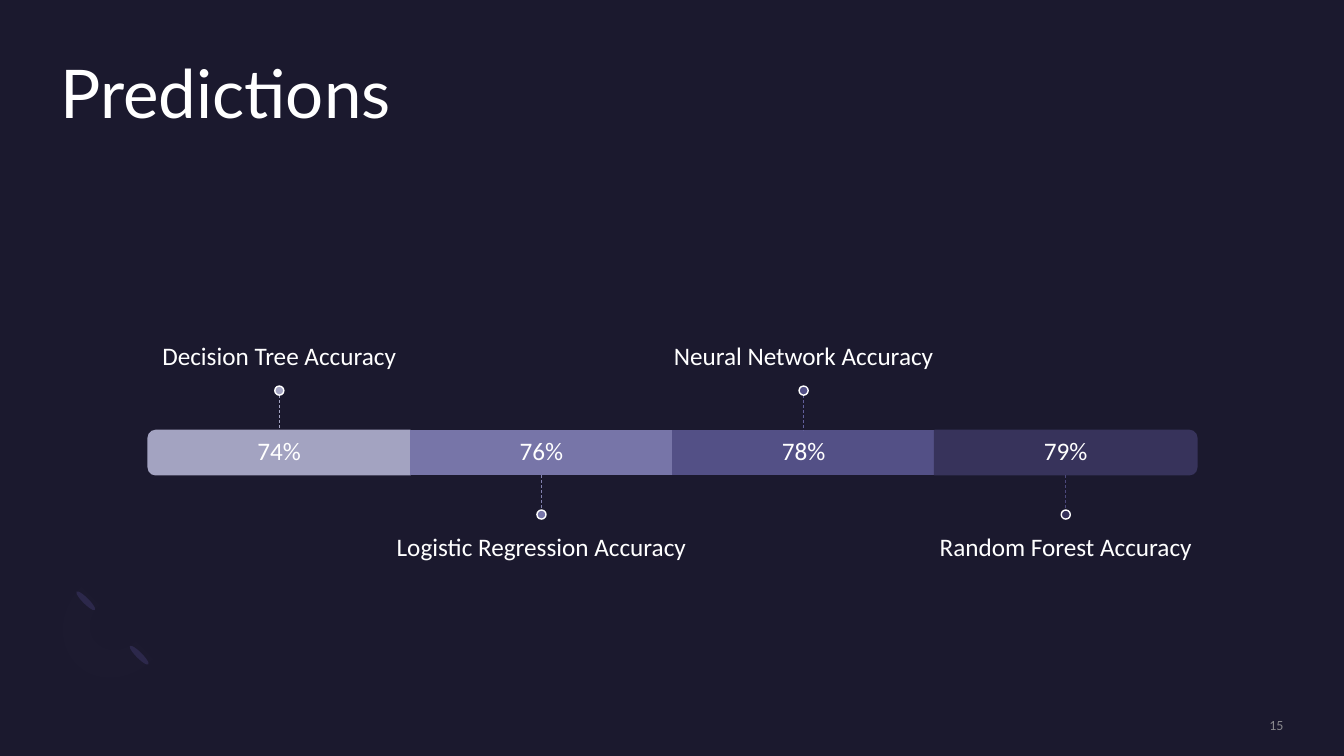
from lxml import etree
from pptx import Presentation
from pptx.dml.color import RGBColor
from pptx.enum import dml, shapes, text
from pptx.oxml.ns import qn
from pptx.util import Inches, Pt

NIGHT = RGBColor(0x1B, 0x19, 0x2E)
WHITE = RGBColor(0xFF, 0xFF, 0xFF)
GREY = RGBColor(0xA6, 0xA6, 0xA6)
PETAL = RGBColor(0x2C, 0x28, 0x4A)
VIOLET = RGBColor(0x77, 0x71, 0xB2)

# Model, accuracy, segment colour, leader colour
MODELS = [
    ("Decision Tree Accuracy", "74%",
     RGBColor(0xA3, 0xA3, 0xC1), RGBColor(0xA3, 0xA3, 0xC1)),
    ("Logistic Regression Accuracy", "76%",
     RGBColor(0x77, 0x75, 0xA8), RGBColor(0x82, 0x81, 0xAE)),
    ("Neural Network Accuracy", "78%",
     RGBColor(0x53, 0x50, 0x86), RGBColor(0x62, 0x5F, 0x9A)),
    ("Random Forest Accuracy", "79%",
     RGBColor(0x37, 0x33, 0x5B), RGBColor(0x4C, 0x48, 0x7B)),
]
LEFT, TOP, WIDE, HIGH = 1.47, 4.27, 2.6, 0.44
STEM, DOT = 0.35, 0.09
LABEL_W, LABEL_H, GAP = 4.33, 1.52, 0.15

TOPS, MIDDLE, BOTTOM = (text.MSO_ANCHOR.TOP, text.MSO_ANCHOR.MIDDLE,
                        text.MSO_ANCHOR.BOTTOM)
CENTER, RIGHT = text.PP_ALIGN.CENTER, text.PP_ALIGN.RIGHT
KIND = shapes.MSO_SHAPE


def fade(fill, percent):
    """Set the opacity of a solid fill."""
    color = fill._xPr.find(qn("a:solidFill"))[0]
    etree.SubElement(color, qn("a:alpha"), val=str(percent * 1000))


def add_text(slide, box, words, size=18, font="Calibri", color=WHITE,
             align=CENTER, anchor=MIDDLE, pad=(0, 0)):
    frame = slide.shapes.add_textbox(*map(Inches, box)).text_frame
    frame.word_wrap = True
    frame.vertical_anchor = anchor
    frame.margin_left = frame.margin_right = 0
    frame.margin_top, frame.margin_bottom = map(Inches, pad)
    para = frame.paragraphs[0]
    para.text = words
    para.alignment = align
    para.line_spacing = 0.9
    face = para.runs[0].font
    face.name, face.size = font, Pt(size)
    face.color.rgb = color
    return face


def add_block(slide, kind, box, fill, line=None, turn=0):
    block = slide.shapes.add_shape(kind, *map(Inches, box))
    block.shadow.inherit = False
    block.rotation = turn
    block.fill.solid()
    block.fill.fore_color.rgb = fill
    if line is None:
        block.line.fill.background()
    else:
        block.line.color.rgb = line
        block.line.width = Pt(1)


def add_stem(slide, x, start, end, color):
    stem = slide.shapes.add_connector(
        shapes.MSO_CONNECTOR.STRAIGHT, *map(Inches, (x, start, x, end)))
    stem.line.color.rgb = color
    stem.line.width = Pt(0.5)
    stem.line.dash_style = dml.MSO_LINE.DASH
    etree.SubElement(stem._element.spPr, qn("a:effectLst"))


def curve(a, b, c, d, steps=12):
    """Points along a cubic curve, without its start."""
    points = []
    for i in range(1, steps + 1):
        t = i / steps
        s = 1 - t
        points.append(tuple(
            s**3 * p + 3 * s * s * t * q + 3 * s * t * t * r + t**3 * e
            for p, q, r, e in zip(a, b, c, d)))
    return points


def add_ring(slide):
    """Faint ornament in the lower left corner."""
    for x, y in ((1.35, 6.37), (0.82, 5.83)):
        add_block(slide, KIND.OVAL, (x, y, 0.06, 0.26), PETAL, turn=135)
    start = (0.76, 6.59)
    points = curve(start, (0.56, 6.39), (0.58, 6.05), (0.81, 5.82))
    points += [(0.99, 6)]
    points += curve(points[-1], (0.87, 6.11), (0.86, 6.29), (0.96, 6.38))
    points += curve(points[-1], (1.06, 6.48), (1.23, 6.47), (1.35, 6.36))
    points += [(1.52, 6.54)]
    points += curve(points[-1], (1.3, 6.76), (0.95, 6.79), start)
    path = slide.shapes.build_freeform(*map(Inches, start))
    path.add_line_segments([tuple(map(Inches, p)) for p in points])
    ring = path.convert_to_shape()
    ring.shadow.inherit = False
    ring.line.fill.background()
    ring.fill.solid()
    ring.fill.fore_color.rgb = VIOLET
    fade(ring.fill, 1)


def add_model(slide, i, name, score, fill, lead):
    x = LEFT + i * WIDE
    mid = x + WIDE / 2
    bar = (x, TOP, WIDE, HIGH)

    # Bar segment, rounded at the two ends
    if i in (0, len(MODELS) - 1):
        upright = (mid - HIGH / 2, TOP + HIGH / 2 - WIDE / 2, HIGH, WIDE)
        add_block(slide, KIND.ROUND_2_SAME_RECTANGLE, upright, fill, fill,
                  turn=90 if i else 270)
    else:
        add_block(slide, KIND.RECTANGLE, bar, fill, fill)
    add_text(slide, bar, score)

    # Label and leader, above and below in turn
    if i % 2 == 0:
        start, end = TOP - STEM, TOP
        dot = start - DOT
        label, anchor, pad = dot - LABEL_H, BOTTOM, (0, GAP)
    else:
        start, end = TOP + HIGH, TOP + HIGH + STEM
        dot = end
        label, anchor, pad = dot + DOT, TOPS, (GAP, 0)
    add_text(slide, (mid - LABEL_W / 2, label, LABEL_W, LABEL_H), name,
             anchor=anchor, pad=pad)
    add_stem(slide, mid, start, end, lead)
    add_block(slide, KIND.OVAL, (mid - DOT / 2, dot, DOT, DOT), fill, WHITE)


def main():
    deck = Presentation()
    deck.slide_width, deck.slide_height = Inches(13.33), Inches(7.5)
    slide = deck.slides.add_slide(deck.slide_layouts[6])
    slide.background.fill.solid()
    slide.background.fill.fore_color.rgb = NIGHT

    add_ring(slide)
    add_text(slide, (0.6, 0.6, 12.13, 1.46), "Predictions", 48, "Lato",
             align=text.PP_ALIGN.LEFT, anchor=TOPS)
    for i, model in enumerate(MODELS):
        add_model(slide, i, *model)

    # Slide number
    face = add_text(slide, (10.88, 7.12, 1.85, 0.17), "15", 10,
                    color=GREY, align=RIGHT)
    fade(face.fill, 80)
    deck.save("out.pptx")


if __name__ == "__main__":
    main()
